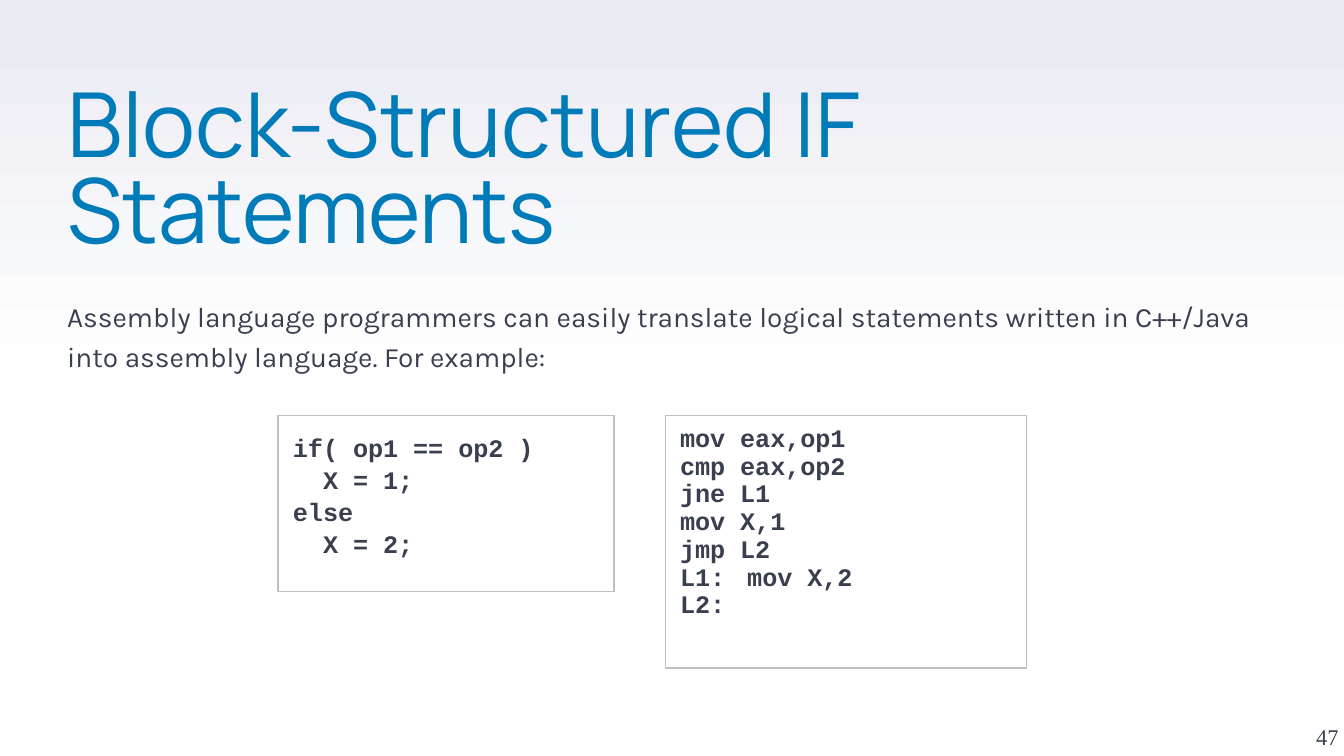
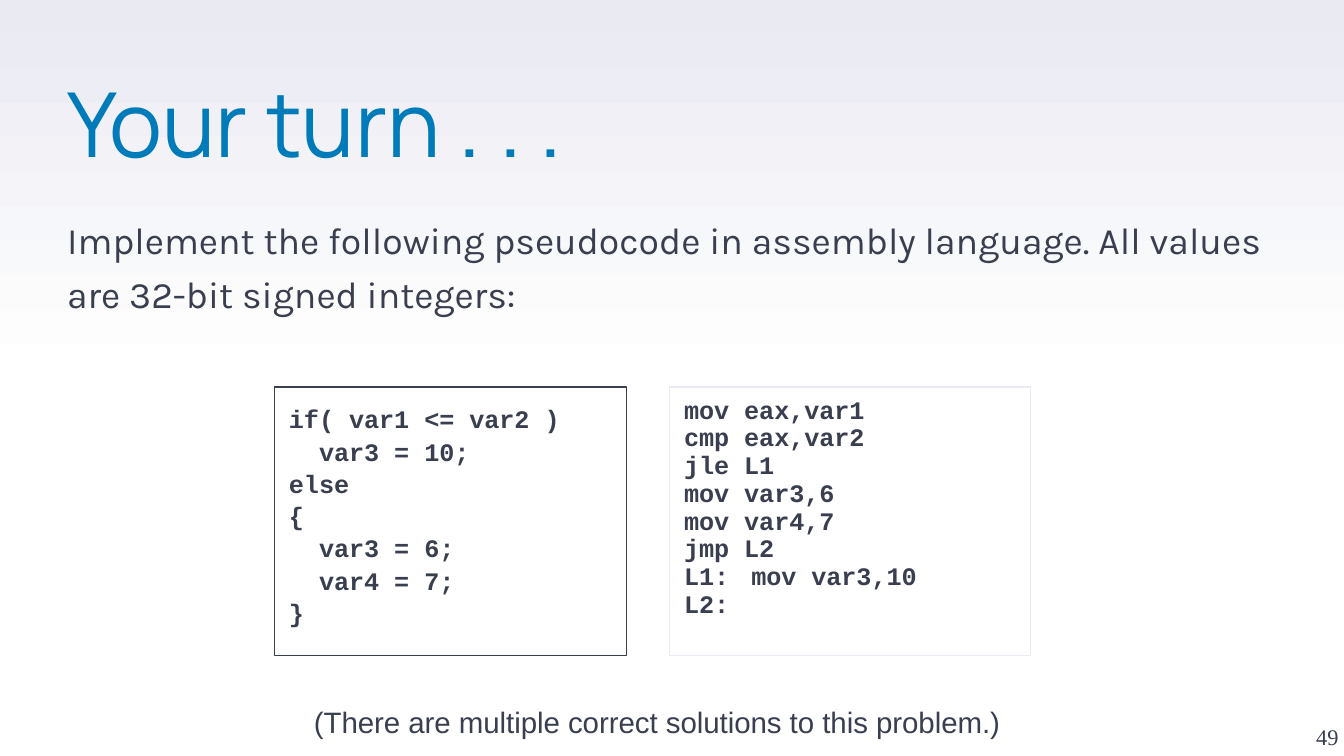
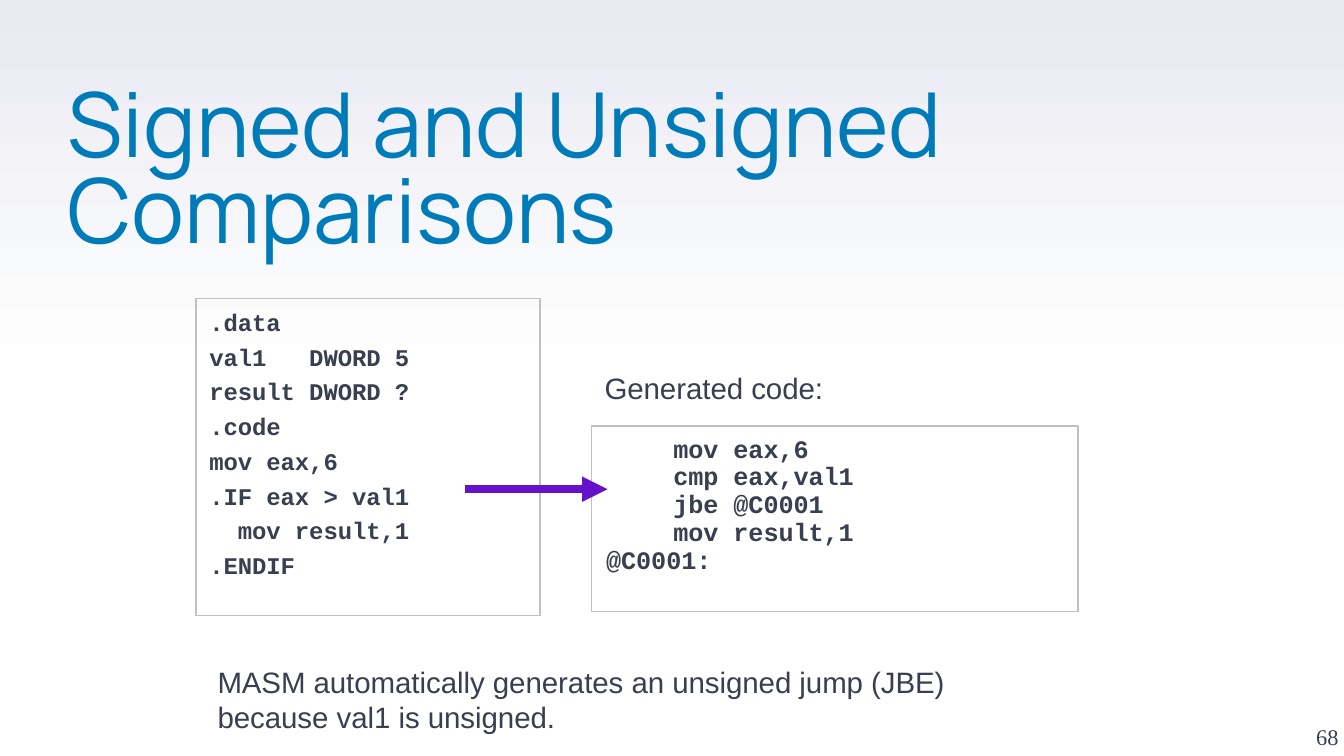
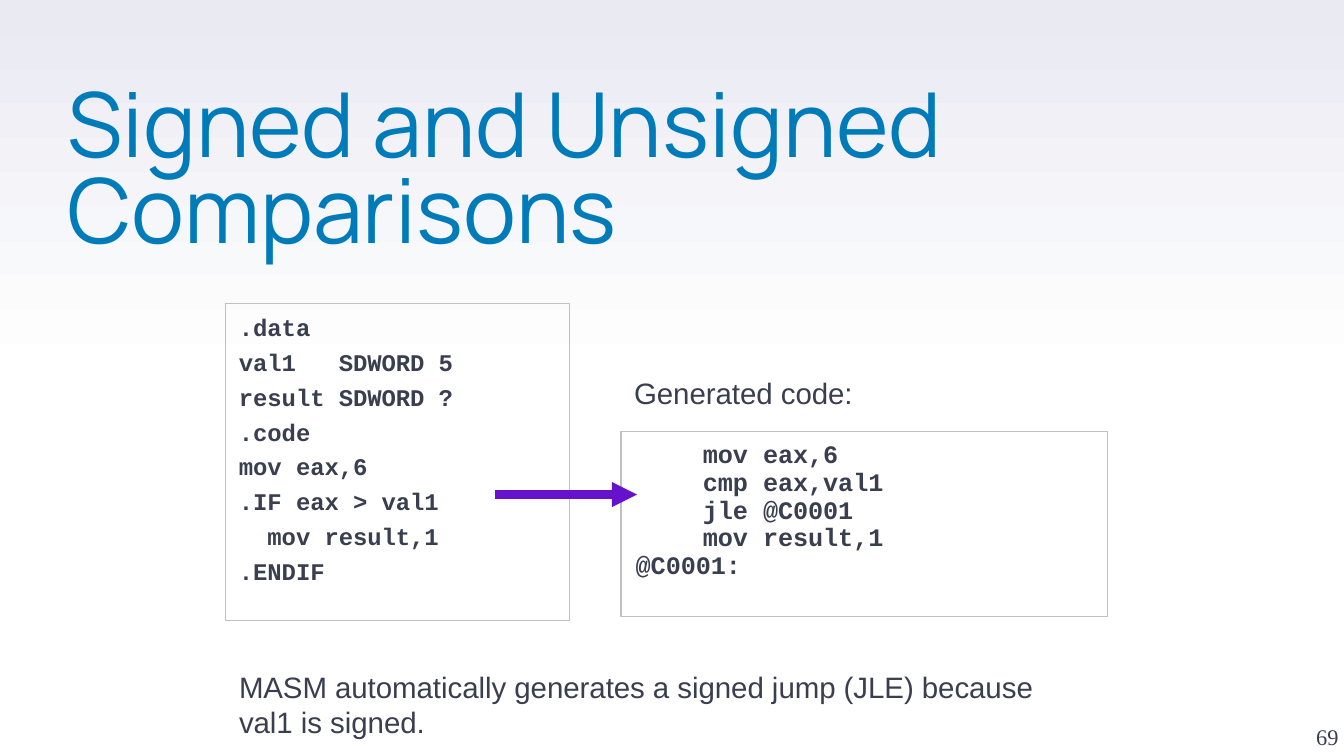
from copy import deepcopy
from dataclasses import dataclass

from lxml.etree import SubElement
from pptx import Presentation
from pptx.dml.color import RGBColor as RGB
from pptx.enum.shapes import MSO_CONNECTOR as CONN, MSO_SHAPE as SHAPE
from pptx.enum.text import MSO_ANCHOR as ANCHOR, MSO_AUTO_SIZE as FIT, PP_ALIGN as ALIGN
from pptx.oxml.ns import qn
from pptx.util import Pt

PX = 9144  # EMU in one px, 100 px to the inch
SLIDE_W = 1000
TITLE_ONLY = 5


@dataclass(frozen=True)
class Theme:
    # Colours
    title: str = "007BB9"
    ink: str = "3A3F50"
    frame: str = "C0C0C0"
    pale: str = "E9EAF2"
    white: str = "FFFFFF"
    arrow: str = "6611CC"
    # Fonts
    title_font: str = "Manrope"
    body_font: str = "Karla"
    code_font: str = "Courier New"
    note_font: str = "Arial"
    number_font: str = "Times New Roman"
    # Type sizes and line widths in points
    title_size: float = 48
    lead_size: float = 20
    body_size: float = 15
    note_size: float = 15.75
    code_size: float = 13.5
    listing_size: float = 12.75
    number_size: float = 12
    frame_width: float = 0.75
    arrow_width: float = 4.5


T = Theme()
# Line spacing as a share of a line, space before in percent
ASSEMBLY = dict(size=T.code_size, spacing=0.5, before=50)
SOURCE = dict(size=T.code_size, spacing=0.9, before=20)
LISTING = dict(size=T.listing_size, spacing=0.8, before=50, pad=(10, 11), fit=True)


def px(*values):
    return [v * PX for v in values]


def write(tf, text, *, size, font, color=T.ink, bold=False, align=ALIGN.LEFT,
          anchor=ANCHOR.TOP, spacing=None, before=None, before_pt=None,
          pad=(0, 0), fit=False, tab=50):
    """Fill a text frame, one paragraph to a line; before is in percent."""
    tf.word_wrap = True
    tf.auto_size = FIT.SHAPE_TO_FIT_TEXT if fit else FIT.NONE
    tf.vertical_anchor = anchor
    tf.margin_left = tf.margin_right = pad[0] * PX
    tf.margin_top = tf.margin_bottom = pad[1] * PX
    for i, line in enumerate(text.split("\n")):
        p = tf.add_paragraph() if i else tf.paragraphs[0]
        p.alignment = align
        p.line_spacing = spacing
        if before_pt:
            p.space_before = Pt(before_pt)
        pPr = p._p.get_or_add_pPr()
        if before:
            gap = SubElement(pPr, qn("a:spcBef"))
            SubElement(gap, qn("a:spcPct"), val=str(before * 1000))
        if "\t" in line:
            tabs = SubElement(pPr, qn("a:tabLst"))
            SubElement(tabs, qn("a:tab"), pos=str(tab * PX), algn="l")
        r = p.add_run()
        r.text = line
        r.font.size, r.font.name, r.font.bold = Pt(size), font, bold
        r.font.color.rgb = RGB.from_string(color)


class Deck:
    def __init__(self, theme):
        self.t = theme
        self.prs = Presentation()
        self.prs.slide_width = SLIDE_W * PX
        self.prs.slide_height = SLIDE_W * PX * 9 // 16
        self.s = None
        self.background()

    def background(self):
        master = self.prs.slide_master
        fill = master.background.fill
        fill.gradient()
        fill.gradient_angle = 90
        stops = master.element.find(".//" + qn("a:gsLst"))
        stops.insert(1, deepcopy(stops[0]))
        colors = (self.t.white, self.t.white, self.t.pale)
        for stop, at, color in zip(fill.gradient_stops, (0, 0.5, 1), colors):
            stop.position = at
            stop.color.rgb = RGB.from_string(color)

    def slide(self, title, number):
        t = self.t
        self.s = self.prs.slides.add_slide(self.prs.slide_layouts[TITLE_ONLY])
        sp = self.s.shapes.title
        sp.left, sp.top, sp.width, sp.height = px(50, 66, 896, 118)
        write(sp.text_frame, title, size=t.title_size, font=t.title_font,
              color=t.title, spacing=0.8)
        self.text(str(number), 946, 507, 50, 51, size=t.number_size,
                  font=t.number_font, align=ALIGN.RIGHT, anchor=ANCHOR.BOTTOM)

    def text(self, text, x, y, w, h, **fmt):
        sp = self.s.shapes.add_textbox(*px(x, y, w, h))
        write(sp.text_frame, text, **fmt)

    def body(self, text, y, size):
        self.text(text, 50, y, 896, 293, size=size, font=self.t.body_font,
                  spacing=1.2, before_pt=6)

    def note(self, text, x, y, w, h, align=ALIGN.LEFT):
        self.text(text, x, y, w, h, size=self.t.note_size, font=self.t.note_font,
                  align=align, before=50, pad=(10, 11), fit=True)

    def code(self, text, x, y, w, h, style, line=T.frame):
        sp = self.s.shapes.add_shape(SHAPE.RECTANGLE, *px(x, y, w, h))
        sp.shadow.inherit = False
        sp.fill.background()
        sp.line.color.rgb = RGB.from_string(line)
        sp.line.width = Pt(self.t.frame_width)
        fmt = {"pad": (11, 15), **style}
        write(sp.text_frame, text, font=self.t.code_font, bold=True, **fmt)

    def arrow(self, x, y, length):
        c = self.s.shapes.add_connector(CONN.STRAIGHT, *px(x, y, x + length, y))
        c.line.color.rgb = RGB.from_string(self.t.arrow)
        c.line.width = Pt(self.t.arrow_width)
        SubElement(c.line._get_or_add_ln(), qn("a:tailEnd"), type="triangle")
        SubElement(c._element.spPr, qn("a:effectLst"))

    def comparison(self, number, x, y, note_x, data_type, jump, note):
        """Source listing at x, y with the code generated from it."""
        self.slide("Signed and Unsigned Comparisons", number)
        self.code(f"\tmov eax,6\n\tcmp eax,val1\n\t{jump} @C0001\n"
                  "\tmov result,1\n@C0001:", x + 294, y + 95, 362, 138, ASSEMBLY)
        self.code(f".data\nval1   {data_type} 5\nresult {data_type} ?\n.code\n"
                  "mov eax,6\n.IF eax > val1\n  mov result,1\n.ENDIF",
                  x, y, 256, 236, LISTING)
        self.arrow(x + 200, y + 142, 106)
        self.note("Generated code:", x + 294, y + 42, 338, 49)
        self.note(note, note_x, y + 261, 638, 76)


def main():
    deck = Deck(T)

    # Block-structured IF
    deck.slide("Block-Structured IF Statements", 47)
    deck.body("Assembly language programmers can easily translate logical statements "
              "written in C++/Java into assembly language. For example:", 218, T.body_size)
    deck.code("mov eax,op1\ncmp eax,op2\njne L1\nmov X,1\njmp L2\nL1:\tmov X,2\nL2:",
              495, 309, 269, 188, ASSEMBLY)
    deck.code("if( op1 == op2 )\n  X = 1;\nelse\n  X = 2;", 207, 309, 250, 131, SOURCE)

    # Exercise
    deck.slide("Your turn . . .", 49)
    deck.body("Implement the following pseudocode in assembly language. "
              "All values are 32-bit signed integers:", 155, T.lead_size)
    deck.code("mov eax,var1\ncmp eax,var2\njle L1\nmov var3,6\nmov var4,7\njmp L2\n"
              "L1:\tmov var3,10\nL2:", 498, 288, 269, 200, ASSEMBLY, line=T.pale)
    deck.code("if( var1 <= var2 )\n  var3 = 10;\nelse\n{\n  var3 = 6;\n  var4 = 7;\n}",
              204, 288, 262, 200, SOURCE, line=T.ink)
    deck.note("(There are multiple correct solutions to this problem.)",
              192, 513, 594, 49, align=ALIGN.CENTER)

    # Unsigned and signed comparisons
    deck.comparison(68, 146, 222, 152, "DWORD", "jbe",
                    "MASM automatically generates an unsigned jump (JBE) "
                    "because val1 is unsigned.")
    deck.comparison(69, 168, 226, 168, "SDWORD", "jle",
                    "MASM automatically generates a signed jump (JLE) "
                    "because val1 is signed.")

    deck.prs.save("out.pptx")


if __name__ == "__main__":
    main()
